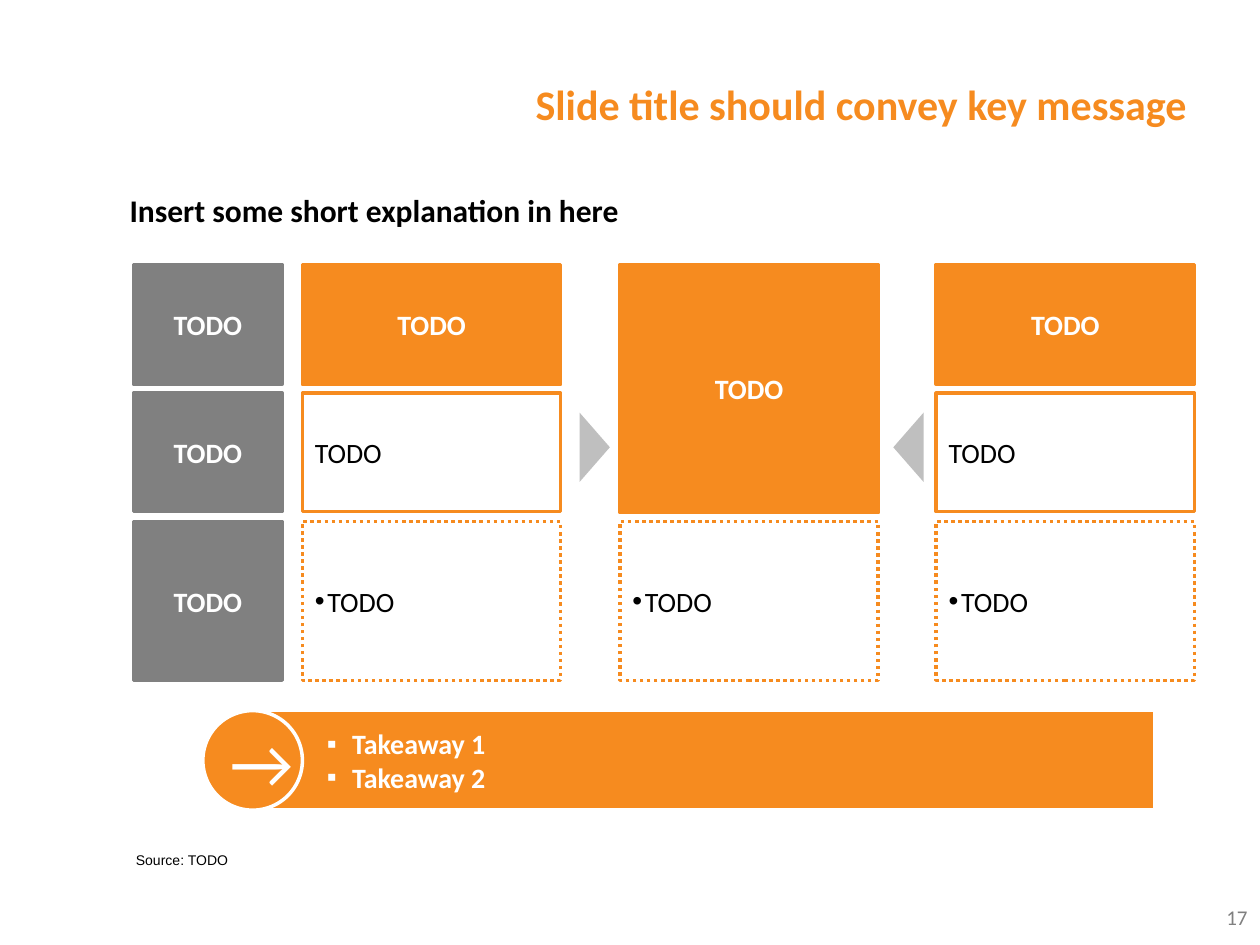
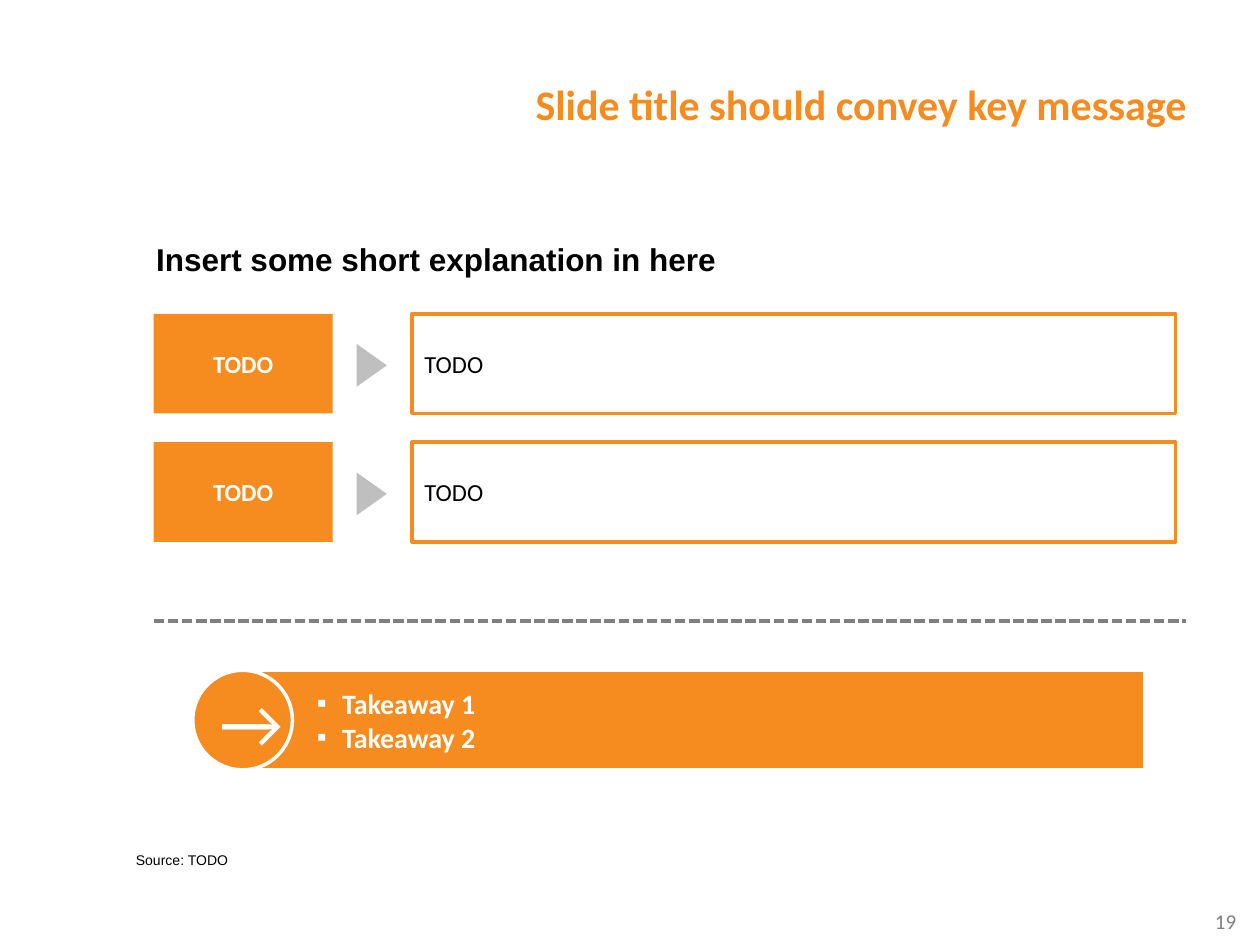
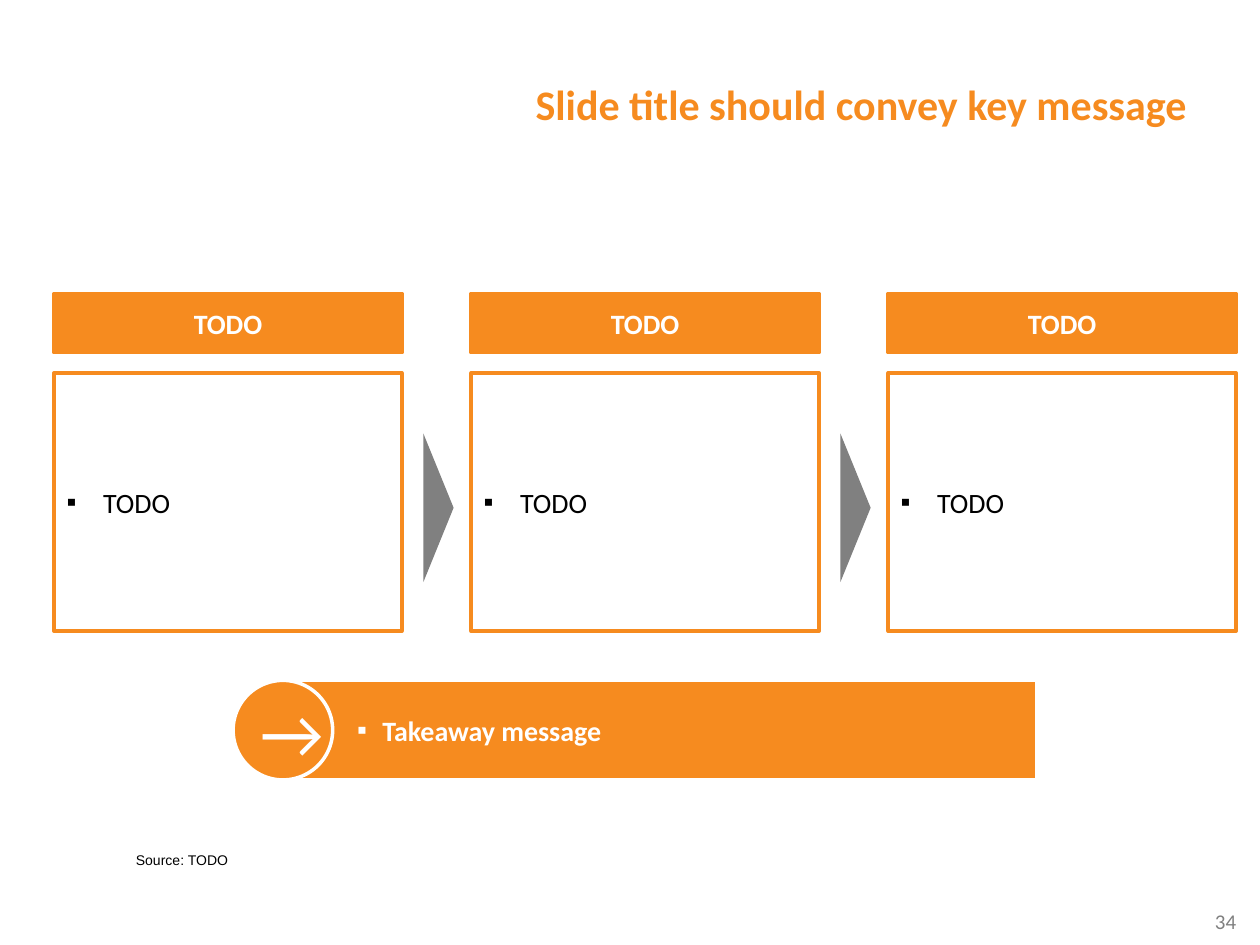
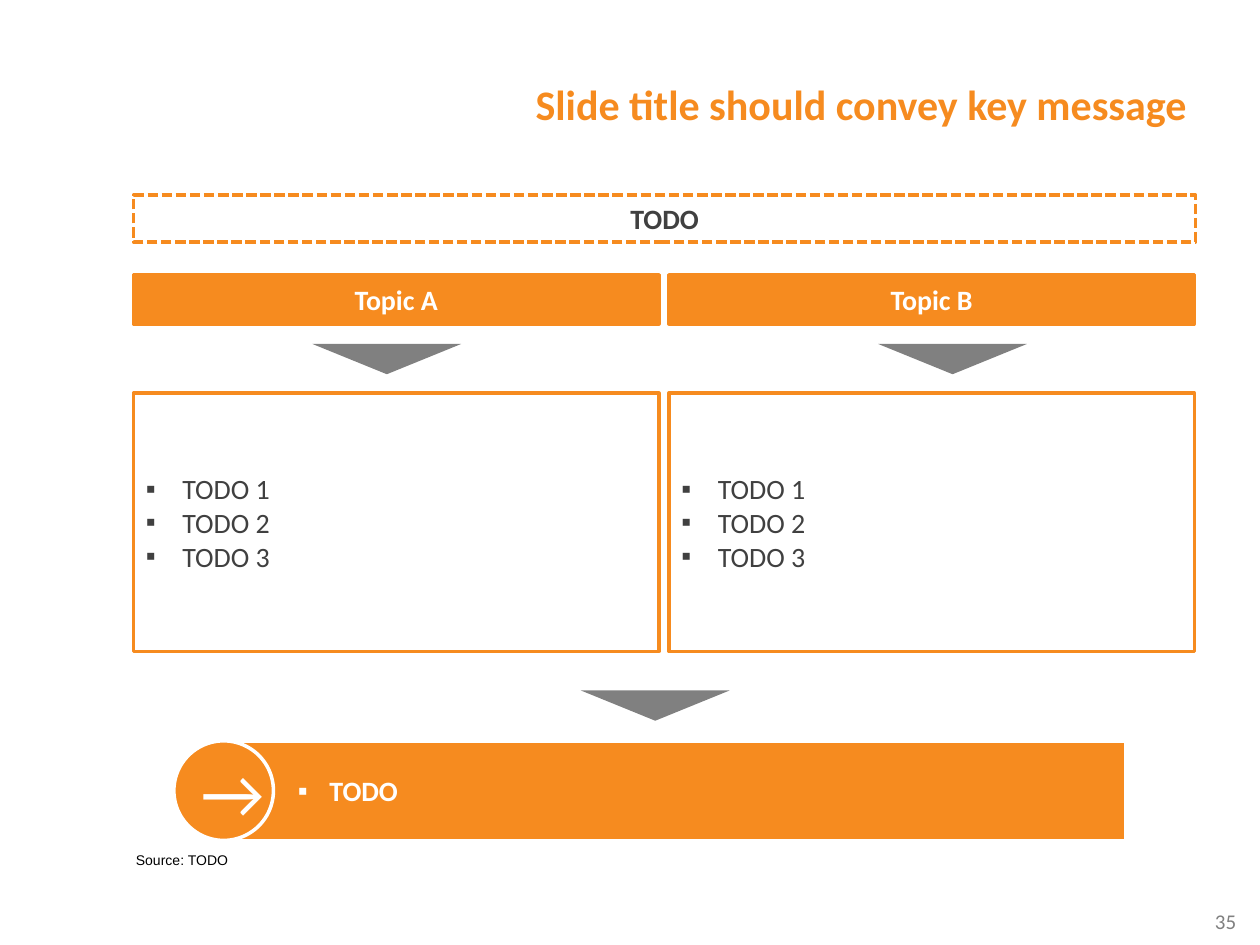
from dataclasses import dataclass, replace
from typing import Optional

import lxml.etree
import pptx
import pptx.dml.color
import pptx.enum.dml
import pptx.enum.shapes
import pptx.enum.text
import pptx.oxml.ns
import pptx.presentation
import pptx.slide
import pptx.text.text
import pptx.util

Inches = pptx.util.Inches
Pt = pptx.util.Pt
Align = pptx.enum.text.PP_ALIGN
Anchor = pptx.enum.text.MSO_ANCHOR
Dash = pptx.enum.dml.MSO_LINE
Kind = pptx.enum.shapes.MSO_SHAPE


# Theme: colours, fonts and type sizes
@dataclass(frozen=True)
class Theme:
    orange: str = "F68B1F"
    gray: str = "808080"
    silver: str = "BFBFBF"
    dark: str = "404040"
    black: str = "000000"
    white: str = "FFFFFF"
    sans: str = "Calibri"
    plain: str = "Arial"
    title: int = 24
    lead: int = 18
    body: int = 16
    small: int = 14
    page: int = 12
    note: int = 8
    arrow: int = 40
    stroke: int = 2


THEME = Theme()


@dataclass(frozen=True)
class Bullet:
    mark: str
    indent: float


@dataclass(frozen=True)
class Type:
    size: int = THEME.body
    ink: str = THEME.black
    bold: bool = False
    face: str = THEME.sans
    align: Align = Align.LEFT
    bullet: Optional[Bullet] = None


@dataclass(frozen=True)
class Look:
    type: Type
    fill: Optional[str] = None
    line: Optional[str] = THEME.orange
    dash: Optional[Dash] = None


@dataclass(frozen=True)
class Box:
    left: float
    top: float
    width: float
    height: float

    def frame(self) -> tuple:
        return tuple(Inches(n) for n in (self.left, self.top, self.width, self.height))


# Shared type and box styles
DOT = Bullet("•", 0.1)
TIGHT = Bullet("▪", 0.2)
WIDE = Bullet("▪", 0.29)
PLAIN = Type()
STRONG = Type(ink=THEME.white, bold=True, align=Align.CENTER)
HEAD = Look(STRONG, THEME.orange)
LABEL = Look(STRONG, THEME.gray, THEME.gray)
OPEN = Look(PLAIN)
DOTTED = Look(replace(PLAIN, bullet=DOT), dash=Dash.ROUND_DOT)
LIST = Look(replace(PLAIN, bullet=WIDE))
BAR = Look(replace(STRONG, align=Align.LEFT, bullet=TIGHT), THEME.orange, THEME.white)
BADGE = Look(Type(THEME.arrow, THEME.white, align=Align.CENTER), THEME.orange, THEME.white)

# Turns of an upward triangle
RIGHT, DOWN, LEFT = 90, 180, 270
DEPTH = 0.24


def color(code: str) -> pptx.dml.color.RGBColor:
    return pptx.dml.color.RGBColor.from_string(code)


# Text
def mark(para: pptx.text.text._Paragraph, bullet: Bullet) -> None:
    props = para._p.get_or_add_pPr()
    props.set("marL", str(Inches(bullet.indent)))
    props.set("indent", str(-Inches(bullet.indent)))
    name = pptx.oxml.ns.qn
    lxml.etree.SubElement(props, name("a:buFont")).set("typeface", THEME.plain)
    lxml.etree.SubElement(props, name("a:buChar")).set("char", bullet.mark)


def write(frame: pptx.text.text.TextFrame, text: str, style: Type) -> None:
    frame.text = text
    frame.word_wrap = True
    for para in frame.paragraphs:
        para.alignment = style.align
        if style.bullet:
            mark(para, style.bullet)
        for font in (para.font, *(run.font for run in para.runs)):
            font.name = style.face
            font.size = Pt(style.size)
            font.bold = style.bold
            font.color.rgb = color(style.ink)


def label(slide: pptx.slide.Slide, box: Box, text: str, style: Type) -> None:
    write(slide.shapes.add_textbox(*box.frame()).text_frame, text, style)


# Shapes
def block(slide: pptx.slide.Slide, box: Box, text: str, look: Look,
          kind: Kind = Kind.RECTANGLE, inset: float = 0.1) -> None:
    shape = slide.shapes.add_shape(kind, *box.frame())
    shape.shadow.inherit = False
    if look.fill:
        shape.fill.solid()
        shape.fill.fore_color.rgb = color(look.fill)
    else:
        shape.fill.background()
    if look.line:
        shape.line.color.rgb = color(look.line)
        shape.line.width = Pt(THEME.stroke)
        if look.dash:
            shape.line.dash_style = look.dash
    else:
        shape.line.fill.background()
    shape.text_frame.vertical_anchor = Anchor.MIDDLE
    shape.text_frame.margin_left = Inches(inset)
    write(shape.text_frame, text, look.type)


def pointer(slide: pptx.slide.Slide, x: float, y: float, base: float,
            turn: int, ink: str = THEME.gray) -> None:
    """Draw a triangle centred on x, y."""
    box = Box(x - base / 2, y - DEPTH / 2, base, DEPTH)
    shape = slide.shapes.add_shape(Kind.ISOSCELES_TRIANGLE, *box.frame())
    shape.shadow.inherit = False
    shape.rotation = turn
    shape.fill.solid()
    shape.fill.fore_color.rgb = color(ink)
    shape.line.fill.background()


def rule(slide: pptx.slide.Slide, left: float, right: float, y: float) -> None:
    line = slide.shapes.add_connector(
        pptx.enum.shapes.MSO_CONNECTOR.STRAIGHT,
        Inches(left), Inches(y), Inches(right), Inches(y))
    line.line.color.rgb = color(THEME.gray)
    line.line.width = Pt(THEME.stroke)
    line.line.dash_style = Dash.SQUARE_DOT
    lxml.etree.SubElement(line._element.spPr, pptx.oxml.ns.qn("a:effectLst"))


def takeaway(slide: pptx.slide.Slide, left: float, top: float, text: str,
             width: float = 7.16) -> None:
    size = 0.79
    block(slide, Box(left + size / 2, top, width, size), text, BAR, inset=0.59)
    block(slide, Box(left, top, size, size), "→", BADGE, Kind.OVAL)


# Title, page number and source on every slide
def start(deck: pptx.presentation.Presentation, page: int,
          left: float = 7.58, top: float = 7.16) -> pptx.slide.Slide:
    slide = deck.slides.add_slide(deck.slide_layouts[5])
    title = slide.shapes.title
    title.left, title.top, title.width, title.height = Box(3.35, 0, 6.17, 1.07).frame()
    frame = title.text_frame
    frame.auto_size = pptx.enum.text.MSO_AUTO_SIZE.NONE
    frame.vertical_anchor = Anchor.BOTTOM
    write(frame, "Slide title should convey key message",
          Type(THEME.title, THEME.orange, True, align=Align.RIGHT))
    frame.paragraphs[0].line_spacing = Pt(29)
    label(slide, Box(left, top, 2.33, 0.37), str(page),
          Type(THEME.page, THEME.gray, align=Align.RIGHT))
    label(slide, Box(0.98, 6.71, 4.17, 0.23), "Source: TODO",
          Type(THEME.note, face=THEME.plain))
    return slide


def lead(slide: pptx.slide.Slide, box: Box, face: str) -> None:
    label(slide, box, "Insert some short explanation in here",
          Type(THEME.lead, bold=True, face=face))


# Matrix with a shared middle cell
def matrix(deck: pptx.presentation.Presentation) -> None:
    slide = start(deck, 17, 7.67, 7.13)
    lead(slide, Box(0.93, 1.47, 9.14, 0.4), THEME.sans)
    rows = ((2.1, 0.95, HEAD), (3.12, 0.94, OPEN), (4.14, 1.26, DOTTED))
    cols = (2.4, 4.92, 7.43)
    wide = 2.05
    for top, high, look in rows:
        block(slide, Box(1.06, top, 1.18, high), "TODO", LABEL)
        for left in cols:
            if left != cols[1] or look is DOTTED:
                block(slide, Box(left, top, wide, high), "TODO", look)
    block(slide, Box(cols[1], 2.1, wide, 1.97), "TODO", HEAD)
    pointer(slide, 4.72, 3.55, 0.55, RIGHT, THEME.silver)
    pointer(slide, 7.21, 3.55, 0.55, LEFT, THEME.silver)
    takeaway(slide, 1.61, 5.64, "Takeaway 1\nTakeaway 2")


# Terms with their explanations
def terms(deck: pptx.presentation.Presentation) -> None:
    slide = start(deck, 19)
    lead(slide, Box(1.14, 1.86, 8.59, 0.4), THEME.plain)
    high = 0.79
    term = Look(replace(STRONG, size=THEME.small), THEME.orange, None)
    text = Look(replace(PLAIN, size=THEME.small))
    for top in (2.49, 3.51):
        block(slide, Box(1.22, top, 1.42, high), "TODO", term)
        pointer(slide, 2.95, top + 0.41, 0.34, RIGHT, THEME.silver)
        block(slide, Box(3.27, top, 6.06, high), "TODO", text)
    rule(slide, 1.22, 9.41, 4.93)
    takeaway(slide, 1.53, 5.32, "Takeaway 1\nTakeaway 2")


# Three steps
def steps(deck: pptx.presentation.Presentation) -> None:
    slide = start(deck, 34)
    wide, pitch = 2.76, 3.31
    for i in range(3):
        left = 0.43 + i * pitch
        block(slide, Box(left, 2.33, wide, 0.47), "TODO", HEAD)
        block(slide, Box(left, 2.96, wide, 2.05), "TODO", LIST)
        if i:
            pointer(slide, left - 0.26, 4.03, 1.18, RIGHT)
    takeaway(slide, 1.85, 5.4, "Takeaway message", 5.98)


# Two topics
def topics(deck: pptx.presentation.Presentation) -> None:
    slide = start(deck, 35)
    banner = Look(replace(STRONG, ink=THEME.dark), dash=Dash.SQUARE_DOT)
    items = Look(replace(LIST.type, ink=THEME.dark))
    block(slide, Box(1.06, 1.55, 8.43, 0.37), "TODO", banner)
    for left, tip, name in ((1.06, 3.07, "Topic A"), (5.31, 7.56, "Topic B")):
        block(slide, Box(left, 2.18, 4.17, 0.39), name, HEAD)
        pointer(slide, tip, 2.85, 1.18, DOWN)
        block(slide, Box(left, 3.12, 4.17, 2.05), "TODO 1\nTODO 2\nTODO 3", items)
    pointer(slide, 5.2, 5.6, 1.18, DOWN)
    takeaway(slide, 1.38, 5.88, " TODO")


def main() -> None:
    deck = pptx.Presentation()
    deck.slide_width, deck.slide_height = Inches(10), Inches(7.5)
    for build in (matrix, terms, steps, topics):
        build(deck)
    deck.save("out.pptx")


if __name__ == "__main__":
    main()
